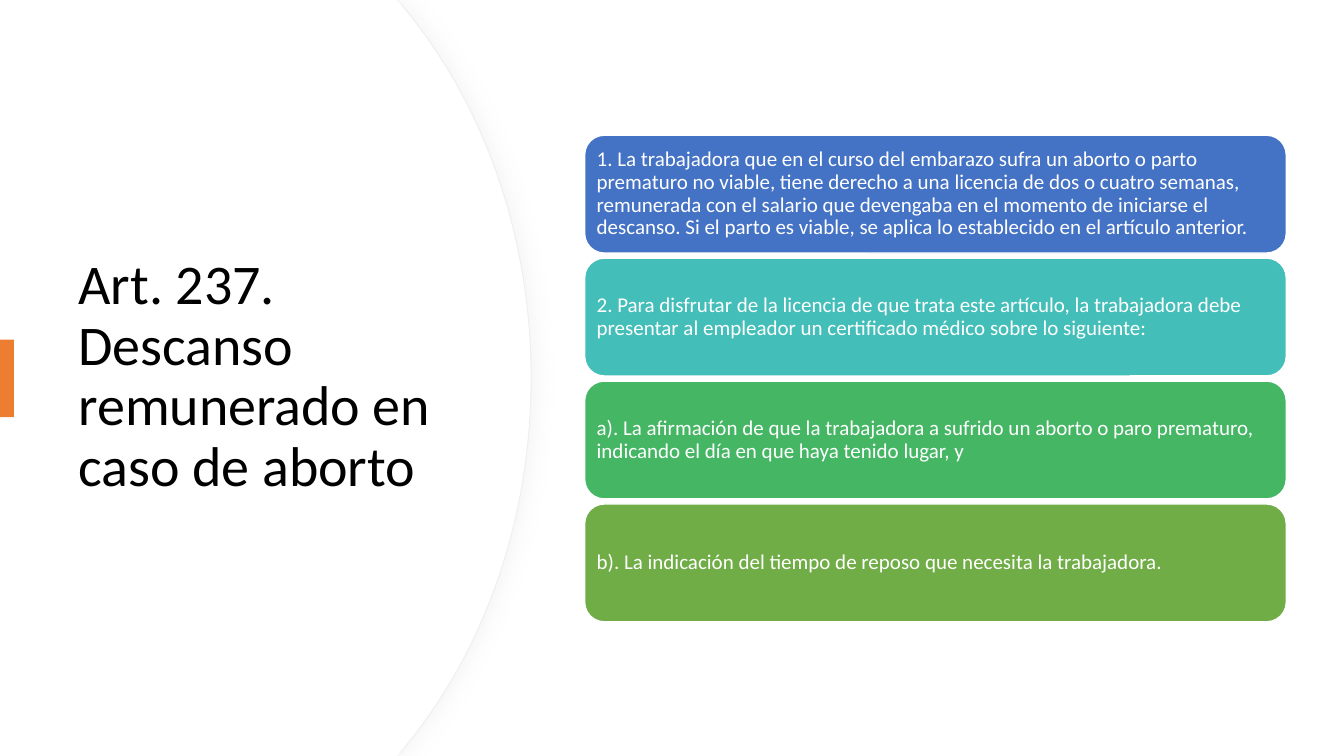
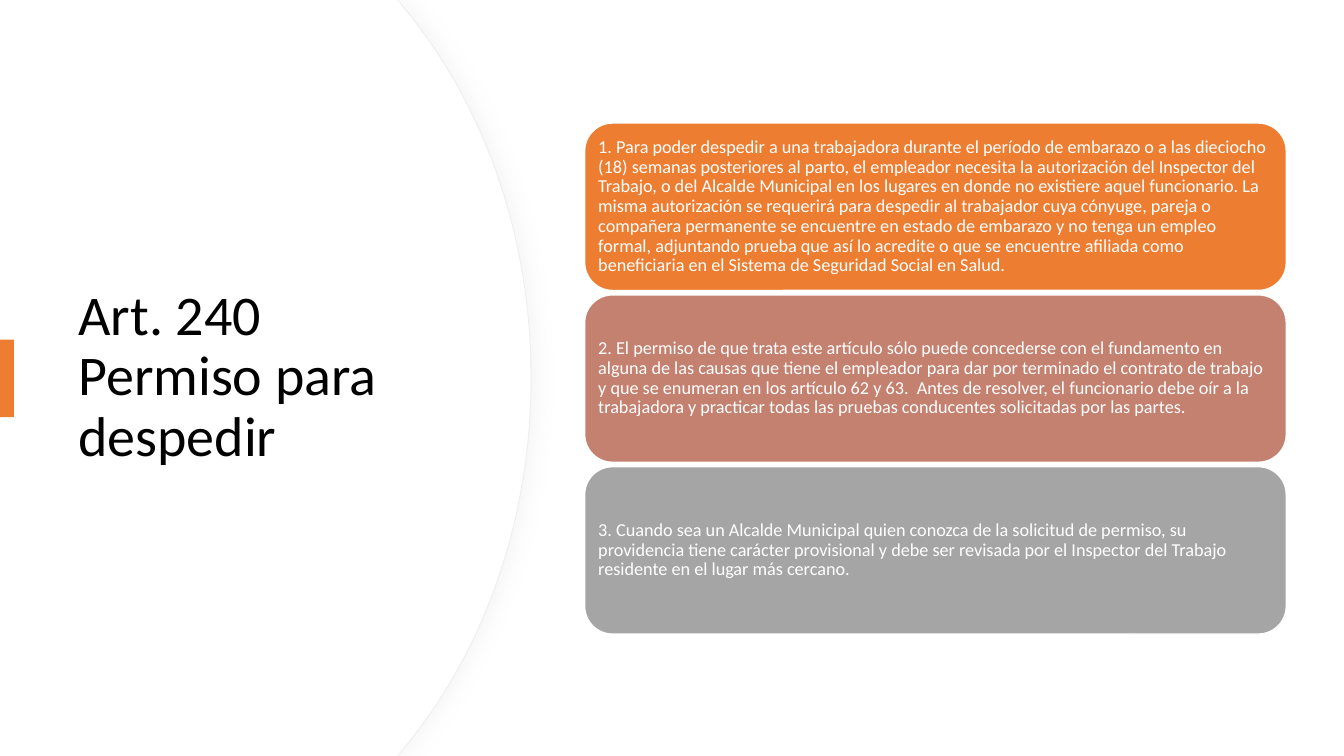
from dataclasses import dataclass

from lxml.etree import Element, SubElement
from pptx import Presentation
from pptx.dml.color import RGBColor
from pptx.enum.shapes import MSO_SHAPE
from pptx.enum.text import MSO_ANCHOR, PP_ALIGN
from pptx.oxml.ns import qn
from pptx.util import Pt

SLIDES = [
    {
        "title": "Art. 237. Descanso remunerado en caso de aborto",
        "size": 15,
        "high": 84.2,
        "cards": [
            ("4472C4", "1. La trabajadora que en el curso del embarazo sufra un aborto o parto "
                       "prematuro no viable, tiene derecho a una licencia de dos o cuatro semanas, "
                       "remunerada con el salario que devengaba en el momento de iniciarse el "
                       "descanso. Si el parto es viable, se aplica lo establecido en el artículo "
                       "anterior."),
            ("43BEB9", "2. Para disfrutar de la licencia de que trata este artículo, la trabajadora "
                       "debe presentar al empleador un certificado médico sobre lo siguiente:"),
            ("45B664", "a). La afirmación de que la trabajadora a sufrido un aborto o paro "
                       "prematuro, indicando el día en que haya tenido lugar, y"),
            ("70AD47", "b). La indicación del tiempo de reposo que necesita la trabajadora."),
        ],
    },
    {
        "title": "Art. 240 Permiso para despedir",
        "size": 13,
        "high": 119.6,
        "cards": [
            ("ED7D31", "1. Para poder despedir a una trabajadora durante el período de embarazo o a "
                       "las dieciocho (18) semanas posteriores al parto, el empleador necesita la "
                       "autorización del Inspector del Trabajo, o del Alcalde Municipal en los "
                       "lugares en donde no existiere aquel funcionario. La misma autorización se "
                       "requerirá para despedir al trabajador cuya cónyuge, pareja o compañera "
                       "permanente se encuentre en estado de embarazo y no tenga un empleo formal, "
                       "adjuntando prueba que así lo acredite o que se encuentre afiliada como "
                       "beneficiaria en el Sistema de Seguridad Social en Salud."),
            ("C48170", "2. El permiso de que trata este artículo sólo puede concederse con el "
                       "fundamento en alguna de las causas que tiene el empleador para dar por "
                       "terminado el contrato de trabajo y que se enumeran en los artículo 62 y 63.  "
                       "Antes de resolver, el funcionario debe oír a la trabajadora y practicar "
                       "todas las pruebas conducentes solicitadas por las partes."),
            ("A5A5A5", "3. Cuando sea un Alcalde Municipal quien conozca de la solicitud de permiso, "
                       "su providencia tiene carácter provisional y debe ser revisada por el "
                       "Inspector del Trabajo residente en el lugar más cercano."),
        ],
    },
]


@dataclass(frozen=True)
class Theme:
    font: str = "Calibri"
    head: int = 40
    ink: str = "000000"
    white: str = "FFFFFF"
    edge: str = "EFEFEF"
    shade: str = "D9D9D9"
    accent: str = "ED7D31"


THEME = Theme()
WIDE, TALL = 960, 540
CARD_X, CARD_W, CARD_MID = 417.6, 501.2, 270.4
GAP, INSET = 0.24, 0.3  # shares of the card text size
CORNER = 283.7
CURVE = [(288.7, 5.8), (344.9, 73.4), (379.4, 167), (379.4, TALL / 2)]


def paint(shape, fill, line=None, width=1):
    shape.shadow.inherit = False
    shape.fill.solid()
    shape.fill.fore_color.rgb = RGBColor.from_string(fill)
    if line:
        shape.line.color.rgb = RGBColor.from_string(line)
        shape.line.width = Pt(width)
    else:
        shape.line.fill.background()


def write(shape, text, size, color, **frame):
    box = shape.text_frame
    frame = {"word_wrap": True, "vertical_anchor": MSO_ANCHOR.MIDDLE, **frame}
    for key, value in frame.items():
        setattr(box, key, value)
    para = box.paragraphs[0]
    para.alignment = PP_ALIGN.LEFT
    para.line_spacing = 0.9
    run = para.add_run()
    run.text = text
    for key, value in {"name": THEME.font, "size": Pt(size)}.items():
        setattr(run.font, key, value)
    run.font.color.rgb = RGBColor.from_string(color)


def curve(line, pulls):
    """Turn a straight segment into a cubic curve with two control points."""
    line.tag = qn("a:cubicBezTo")
    for spot, (x, y) in enumerate(pulls):
        line.insert(spot, Element(qn("a:pt"), x=str(Pt(x)), y=str(Pt(y))))


def add_panel(slide, shift=0):
    """Rounded left panel, its curve moved left by shift."""
    upper = [(x - shift, y) for x, y in CURVE]
    lower = [(x, TALL - y) for x, y in reversed(upper)]
    ends = [(CORNER, 0), upper[0], upper[3], lower[3], (CORNER, TALL), (0, TALL)]
    pen = slide.shapes.build_freeform(0, 0)
    pen.add_line_segments([(Pt(x), Pt(y)) for x, y in ends], close=True)
    panel = pen.convert_to_shape()
    lines = list(panel.element.iter(qn("a:lnTo")))
    for line, bow in zip(lines[2:4], (upper, lower)):
        curve(line, bow[1:3])
    return panel


def cast(shape):
    """Soft shadow to the right."""
    effects = shape.element.spPr.find(qn("a:effectLst"))
    outer = SubElement(effects, qn("a:outerShdw"), blurRad=str(Pt(14)), dist=str(Pt(3)),
                       dir="0", algn="l", rotWithShape="0")
    color = SubElement(outer, qn("a:srgbClr"), val=THEME.shade)
    SubElement(color, qn("a:alpha"), val="25000")


def add_frame(slide, title):
    """Parts every slide shares: panel, title and side tab."""
    back = add_panel(slide)
    paint(back, THEME.white, THEME.edge, 0.75)
    cast(back)
    paint(add_panel(slide, 0.7), THEME.white)
    head = slide.shapes.add_textbox(Pt(49), Pt(91.4), Pt(283.7), Pt(356.4))
    write(head, title, THEME.head, THEME.ink)
    tab = slide.shapes.add_shape(MSO_SHAPE.RECTANGLE, 0, Pt(242.6), Pt(10), Pt(55.4))
    paint(tab, THEME.accent)


def add_cards(slide, cards, size, high):
    """Stack of cards around a shared middle line."""
    pitch = high + GAP * size
    top = CARD_MID - (pitch * len(cards) - GAP * size) / 2
    sides = ("left", "top", "right", "bottom")
    inset = {f"margin_{side}": Pt(INSET * size) for side in sides}
    for row, (fill, text) in enumerate(cards):
        card = slide.shapes.add_shape(MSO_SHAPE.ROUNDED_RECTANGLE, Pt(CARD_X),
                                      Pt(top + row * pitch), Pt(CARD_W), Pt(high))
        paint(card, fill, THEME.white)
        write(card, text, size, THEME.white, **inset)


def main():
    deck = Presentation()
    deck.slide_width, deck.slide_height = Pt(WIDE), Pt(TALL)
    for item in SLIDES:
        slide = deck.slides.add_slide(deck.slide_layouts[6])
        add_frame(slide, item["title"])
        add_cards(slide, item["cards"], item["size"], item["high"])
    deck.save("out.pptx")


if __name__ == "__main__":
    main()
